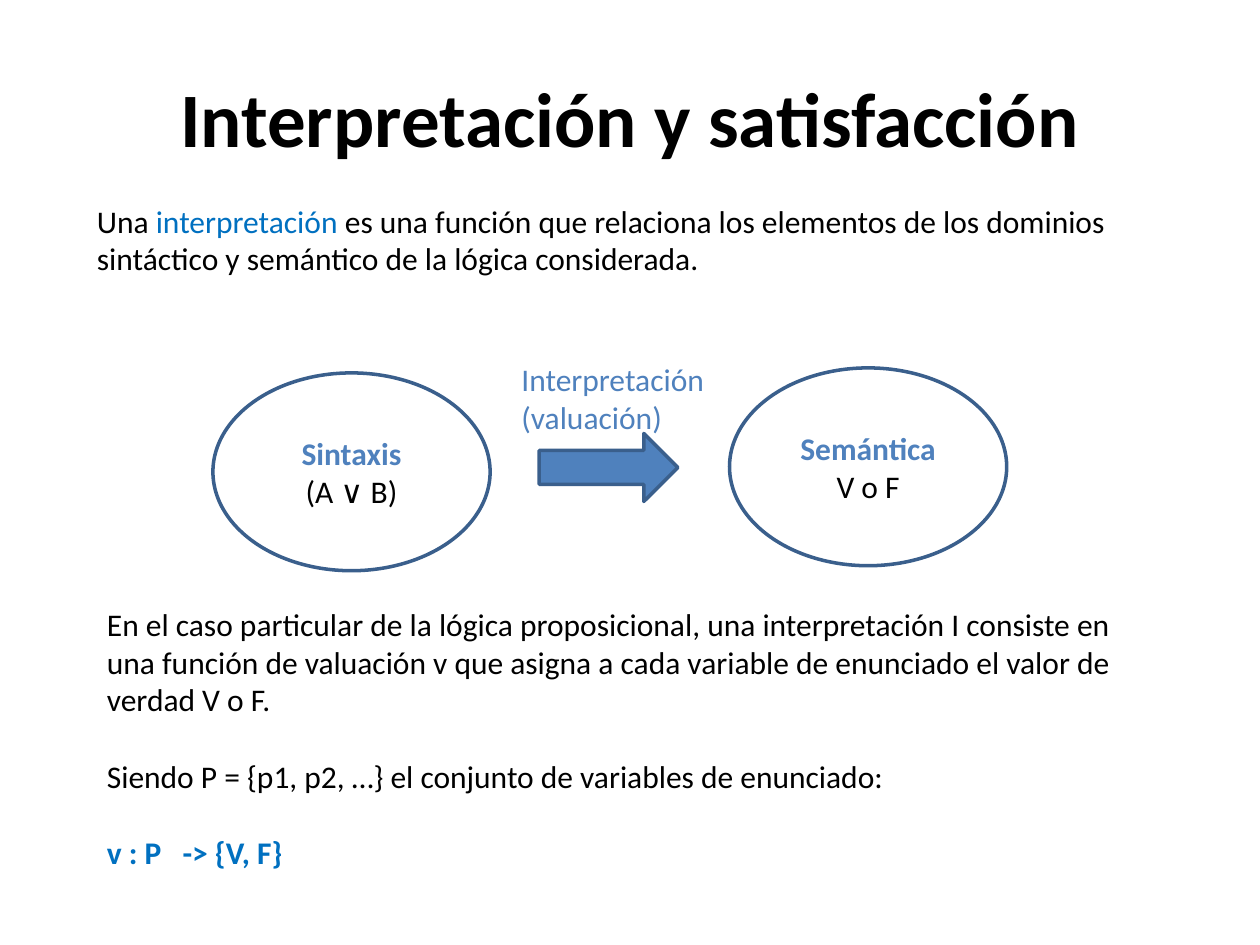
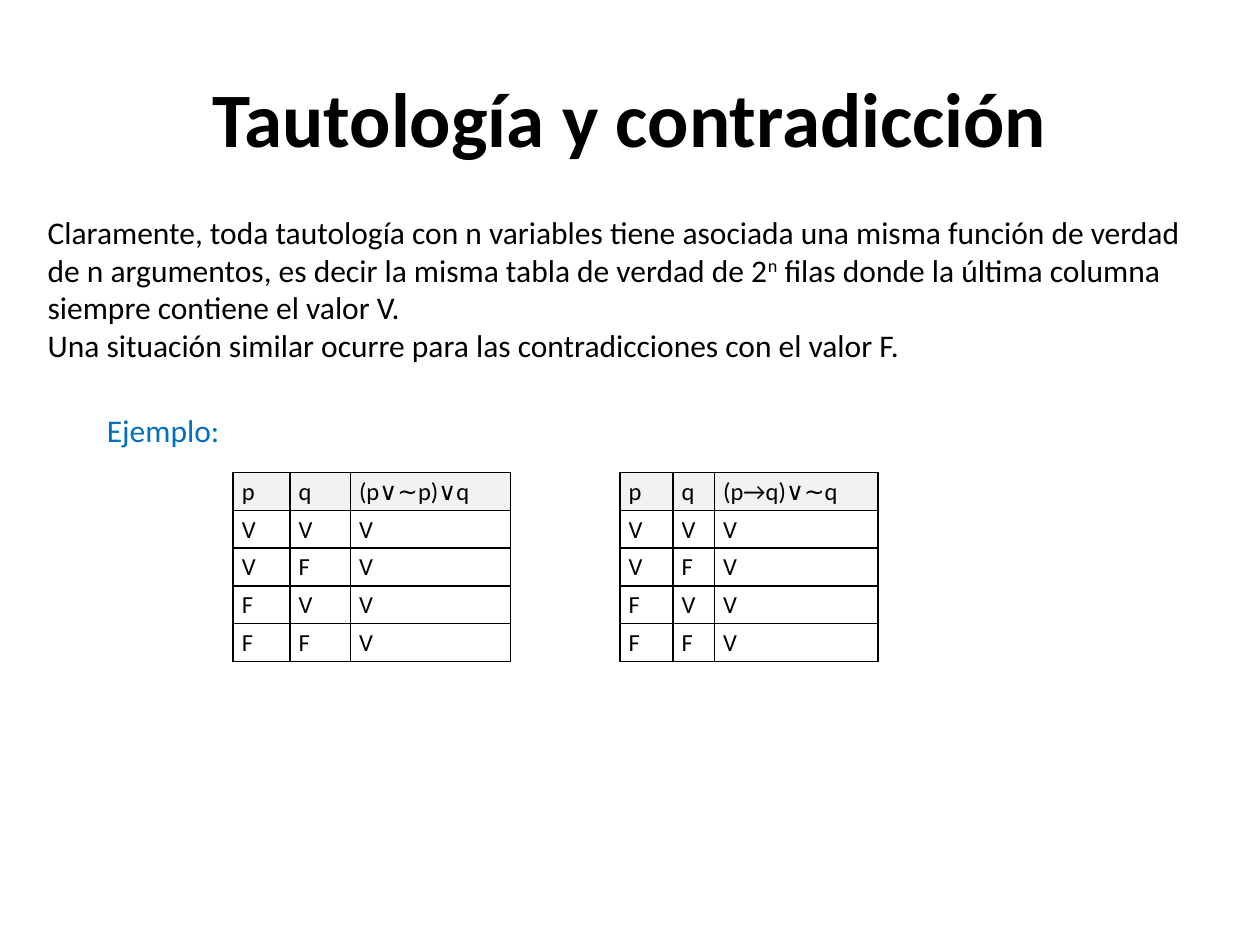
from lxml import etree
from pptx import Presentation
from pptx.dml.color import RGBColor
from pptx.enum.shapes import MSO_SHAPE
from pptx.enum.text import MSO_ANCHOR, PP_ALIGN
from pptx.oxml.ns import qn
from pptx.util import Inches, Pt

ELLIPSE, RIGHT_ARROW = MSO_SHAPE.OVAL, MSO_SHAPE.RIGHT_ARROW
LEFT, CENTER = PP_ALIGN.LEFT, PP_ALIGN.CENTER
TOP, MIDDLE = MSO_ANCHOR.TOP, MSO_ANCHOR.MIDDLE

# Shared style
FONT = "Calibri"
BLACK, WHITE, GRAY = "000000", "FFFFFF", "F2F2F2"
BLUE, ACCENT, OUTLINE = "0070C0", "4F81BD", "3A5F8C"
TITLE_BOX = (0.5, 0.3, 9, 1.25)
TITLE_SIZE, BODY_SIZE, TABLE_SIZE = 44, 18, 14
BLANK_LINE = 22  # points between separated paragraphs

# Content: a paragraph is a dict; its runs are (text, overrides)
INTERPRETATION = {
    "title": "Interpretación y satisfacción",
    "definition": [{"runs": [
        ("Una ", {}),
        ("interpretación", {"color": BLUE}),
        (" es una función que relaciona los elementos de los dominios "
         "sintáctico y semántico de la lógica considerada.", {}),
    ]}],
    "domains": [
        ((1.69, 2.96), "Sintaxis", "(A ∨ B)"),
        ((5.79, 2.92), "Semántica", "V o F"),
    ],
    "mapping": [{"runs": [(line, {})], "color": ACCENT}
                for line in ("Interpretación", "(valuación)")],
    "valuation": [
        {"runs": [("En el caso particular de la lógica proposicional, una interpretación I "
                   "consiste en una función de valuación v que asigna a cada variable de "
                   "enunciado el valor de verdad V o F.", {})]},
        {"runs": [("Siendo P = {p1, p2, …} el conjunto de variables de enunciado:", {})],
         "before": BLANK_LINE},
        {"runs": [("v : P\t-> {V, F}", {})], "before": BLANK_LINE,
         "color": BLUE, "bold": True, "tab": 0.6},
    ],
}
TAUTOLOGY = {
    "title": "Tautología y contradicción",
    "explanation": [
        {"runs": [
            ("Claramente, toda tautología con n variables tiene asociada una misma función de "
             "verdad de n argumentos, es decir la misma tabla de verdad de 2", {}),
            ("n", {"superscript": True}),
            (" filas donde la última columna siempre contiene el valor V.", {}),
        ]},
        {"runs": [("Una situación similar ocurre para las contradicciones con el valor F.", {})]},
    ],
    "example": [{"runs": [("Ejemplo:", {})], "color": BLUE}],
    "tables": [
        (1.85, (0.45, 0.48, 1.27), "(p∨∼p)∨q"),
        (4.92, (0.42, 0.33, 1.3), "(p→q)∨∼q"),
    ],
}
TRUTH_ROWS = [(p, q, "V") for p in "VF" for q in "VF"]
DOMAIN_SIZE = (2.2, 1.57)
TABLE_TOP, ROW_HEIGHT = 3.75, 0.3


def rgb(color):
    return RGBColor.from_string(color)


def write(frame, paragraphs, size=BODY_SIZE, align=LEFT, anchor=TOP, wrap=True):
    frame.word_wrap = wrap
    frame.vertical_anchor = anchor
    for index, item in enumerate(paragraphs):
        paragraph = frame.add_paragraph() if index else frame.paragraphs[0]
        if "tab" in item:
            tabs = etree.SubElement(paragraph._p.get_or_add_pPr(), qn("a:tabLst"))
            etree.SubElement(tabs, qn("a:tab"), pos=str(Inches(item["tab"])), algn="l")
        paragraph.alignment = align
        if "before" in item:
            paragraph.space_before = Pt(item["before"])
        if "spacing" in item:
            paragraph.line_spacing = item["spacing"]
        font = paragraph.font
        font.name, font.size = FONT, Pt(size)
        font.bold = item.get("bold", False)
        font.color.rgb = rgb(item.get("color", BLACK))
        for text, overrides in item["runs"]:
            run = paragraph.add_run()
            run.text = text
            if "color" in overrides:
                run.font.color.rgb = rgb(overrides["color"])
            if "superscript" in overrides:
                run.font._element.set("baseline", "30000")


def add_text(slide, box, paragraphs, **style):
    shape = slide.shapes.add_textbox(*map(Inches, box))
    write(shape.text_frame, paragraphs, **style)


def add_outlined(slide, kind, box, fill):
    shape = slide.shapes.add_shape(kind, *map(Inches, box))
    shape.shadow.inherit = False
    shape.fill.solid()
    shape.fill.fore_color.rgb = rgb(fill)
    shape.line.color.rgb = rgb(OUTLINE)
    shape.line.width = Pt(2)
    return shape


def add_titled_slide(presentation, title):
    slide = presentation.slides.add_slide(presentation.slide_layouts[6])
    add_text(slide, TITLE_BOX, [{"runs": [(title, {})], "bold": True}],
             size=TITLE_SIZE, align=CENTER, anchor=MIDDLE)
    return slide


def set_borders(cell):
    properties = cell._tc.get_or_add_tcPr()
    for position, side in enumerate(("lnL", "lnR", "lnT", "lnB")):
        line = etree.Element(qn(f"a:{side}"), w=str(Pt(1)))
        fill = etree.SubElement(line, qn("a:solidFill"))
        etree.SubElement(fill, qn("a:srgbClr"), val=BLACK)
        properties.insert(position, line)


def add_truth_table(slide, left, widths, formula):
    rows = [("p", "q", formula)] + TRUTH_ROWS
    box = (left, TABLE_TOP, sum(widths), ROW_HEIGHT * len(rows))
    table = slide.shapes.add_table(len(rows), len(widths), *map(Inches, box)).table
    table.first_row = table.horz_banding = False
    for column, width in zip(table.columns, widths):
        column.width = Inches(width)
    for row_index, row in enumerate(rows):
        table.rows[row_index].height = Inches(ROW_HEIGHT)
        for column_index, value in enumerate(row):
            cell = table.cell(row_index, column_index)
            cell.margin_left = cell.margin_right = Inches(0.07)
            cell.margin_top = cell.margin_bottom = 0
            cell.fill.solid()
            cell.fill.fore_color.rgb = rgb(WHITE if row_index else GRAY)
            set_borders(cell)
            write(cell.text_frame, [{"runs": [(value, {})], "spacing": 1.15}], size=TABLE_SIZE)


def build_interpretation(presentation):
    content = INTERPRETATION
    slide = add_titled_slide(presentation, content["title"])
    add_text(slide, (0.67, 1.55, 8.82, 0.71), content["definition"])

    # Two domains joined by the interpretation arrow
    for corner, name, example in content["domains"]:
        domain = add_outlined(slide, ELLIPSE, corner + DOMAIN_SIZE, WHITE)
        write(domain.text_frame,
              [{"runs": [(name, {})], "color": ACCENT, "bold": True},
               {"runs": [(example, {})]}],
              align=CENTER, anchor=MIDDLE)
    add_outlined(slide, RIGHT_ARROW, (4.28, 3.44, 1.1, 0.54), ACCENT)
    add_text(slide, (4.04, 2.81, 1.67, 0.71), content["mapping"], wrap=False)

    add_text(slide, (0.75, 4.75, 8.58, 2.22), content["valuation"])


def build_tautology(presentation):
    content = TAUTOLOGY
    slide = add_titled_slide(presentation, content["title"])
    add_text(slide, (0.28, 1.64, 9.29, 1.31), content["explanation"])
    for left, widths, formula in content["tables"]:
        add_truth_table(slide, left, widths, formula)
    add_text(slide, (0.75, 3.21, 1.1, 0.4), content["example"], wrap=False)


def main():
    presentation = Presentation()
    presentation.slide_width, presentation.slide_height = Inches(10), Inches(7.5)
    build_interpretation(presentation)
    build_tautology(presentation)
    presentation.save("out.pptx")


if __name__ == "__main__":
    main()
